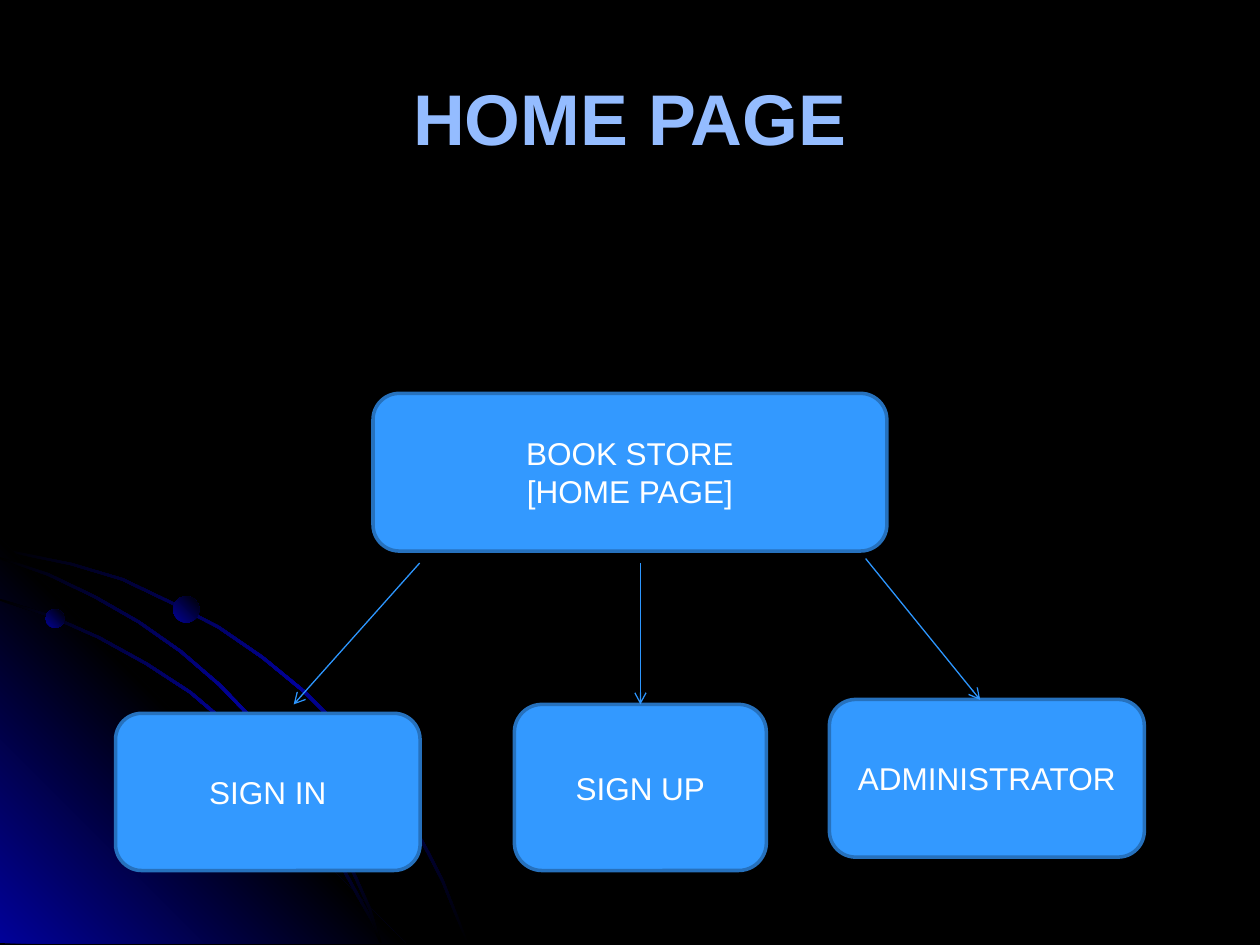
"""Build the home page flow chart slide of the book store."""
import lxml.etree
import pptx
import pptx.dml.color
import pptx.enum.shapes
import pptx.enum.text
import pptx.oxml.ns
import pptx.util

Cm = pptx.util.Cm
Pt = pptx.util.Pt
qn = pptx.oxml.ns.qn
SHAPE = pptx.enum.shapes.MSO_SHAPE

FONT = "Arial"
COLORS = {
    "background": "000000",
    "glow": "010199",
    "title": "94BCFF",
    "box": "3399FF",
    "border": "2671BD",
    "arrow": "2D96FE",
    "label": "FFFFFF",
}
BOTTOM = 19.02
BAND = 0.04
OUTER_ARC = [
    (0, 11.05), (0.71, 11.2), (1.45, 11.35), (2.49, 11.66), (3.45, 12.12),
    (4.42, 12.62), (5.31, 13.23), (6.15, 13.92), (6.91, 14.68), (7.62, 15.52),
    (8.26, 16.46), (8.61, 17.09), (8.94, 17.73), (9.19, 18.36), (9.45, BOTTOM),
]
INNER_ARC = [
    (0, 12.07), (1.04, 12.4), (2.01, 12.83), (2.97, 13.36), (3.86, 13.94),
    (4.67, 14.63), (5.46, 15.39), (6.15, 16.26), (6.76, 17.17), (7.26, 18.08),
    (7.52, 18.54), (7.7, BOTTOM),
]
MIDDLE_ARC = [
    (0, 11.23), (0.99, 11.56), (1.93, 12.01), (2.82, 12.52), (3.66, 13.11),
    (4.45, 13.79), (5.18, 14.55), (5.82, 15.32), (6.45, 16.23), (6.83, 16.94),
    (7.16, 17.6), (7.47, 18.29), (7.7, BOTTOM),
]
CORNER = [(0, 10.85), (8.18, BOTTOM), (0, BOTTOM)]
DOTS = [(0.92, 12.28, 0.38), (3.49, 12.02, 0.53)]
BOXES = [
    ((7.52, 7.93, 10.36, 3.18), ["BOOK STORE", "[HOME PAGE]"]),
    ((2.33, 14.38, 6.14, 3.17), ["SIGN IN"]),
    ((10.37, 14.2, 5.08, 3.35), ["SIGN UP"]),
    ((16.72, 14.1, 6.35, 3.18), ["ADMINISTRATOR"]),
]
ARROWS = [
    (8.46, 11.35, 5.92, 14.2),
    (12.91, 11.35, 12.91, 14.2),
    (17.45, 11.26, 19.76, 14.11),
]


def color(name):
    return pptx.dml.color.RGBColor.from_string(COLORS[name])


def lengths(values):
    return [Cm(value) for value in values]


def fill_gradient(shape, names, angle):
    shape.shadow.inherit = False
    shape.line.fill.background()
    shape.fill.gradient()
    gradient = shape._element.spPr.find(qn("a:gradFill"))
    stops = gradient.find(qn("a:gsLst"))
    for stop in list(stops):
        stops.remove(stop)
    for index, name in enumerate(names):
        position = str(100000 * index // (len(names) - 1))
        stop = lxml.etree.SubElement(stops, qn("a:gs"), pos=position)
        lxml.etree.SubElement(stop, qn("a:srgbClr"), val=COLORS[name])
    gradient.find(qn("a:lin")).set("ang", str(angle * 60000))


def add_outline(slide, points, names, angle):
    scaled = [lengths(point) for point in points]
    builder = slide.shapes.build_freeform(*scaled[0])
    builder.add_line_segments(scaled[1:], close=True)
    fill_gradient(builder.convert_to_shape(), names, angle)


def add_arc(slide, edge):
    inner = [(max(0, x - BAND), min(BOTTOM, y + BAND)) for x, y in reversed(edge)]
    add_outline(slide, edge + inner, ["background", "glow", "background"], 45)


def add_dot(slide, left, top, size):
    dot = slide.shapes.add_shape(SHAPE.OVAL, *lengths((left, top, size, size)))
    fill_gradient(dot, ["glow", "background"], 315)


def write_lines(shape, lines, size, name, bold=False):
    frame = shape.text_frame
    frame.word_wrap = True
    frame.vertical_anchor = pptx.enum.text.MSO_ANCHOR.MIDDLE
    frame.text = "\n".join(lines)
    for paragraph in frame.paragraphs:
        paragraph.alignment = pptx.enum.text.PP_ALIGN.CENTER
        paragraph.font.name = FONT
        paragraph.font.size = Pt(size)
        paragraph.font.bold = bold
        paragraph.font.color.rgb = color(name)


def add_title(slide, place, text):
    title = slide.shapes.add_textbox(*lengths(place))
    write_lines(title, [text], 41, "title", bold=True)


def add_box(slide, place, lines):
    box = slide.shapes.add_shape(SHAPE.ROUNDED_RECTANGLE, *lengths(place))
    box.shadow.inherit = False
    box.fill.solid()
    box.fill.fore_color.rgb = color("box")
    box.line.color.rgb = color("border")
    box.line.width = Pt(2)
    write_lines(box, lines, 18, "label")


def add_arrow(slide, ends):
    straight = pptx.enum.shapes.MSO_CONNECTOR.STRAIGHT
    arrow = slide.shapes.add_connector(straight, *lengths(ends))
    arrow.line.color.rgb = color("arrow")
    arrow.line.width = Pt(0.75)
    lxml.etree.SubElement(arrow.line._get_or_add_ln(), qn("a:tailEnd"), type="arrow")
    lxml.etree.SubElement(arrow._element.spPr, qn("a:effectLst"))


def add_backdrop(slide):
    slide.background.fill.solid()
    slide.background.fill.fore_color.rgb = color("background")
    add_arc(slide, OUTER_ARC)
    add_outline(slide, CORNER, ["glow", "background", "glow"], 315)
    add_arc(slide, INNER_ARC)
    add_arc(slide, MIDDLE_ARC)
    for dot in DOTS:
        add_dot(slide, *dot)


def main():
    presentation = pptx.Presentation()
    presentation.slide_width = Cm(25.4)
    presentation.slide_height = Cm(19.05)
    slide = presentation.slides.add_slide(presentation.slide_layouts[6])
    add_backdrop(slide)
    add_title(slide, (1.27, 0.76, 22.86, 3.18), "HOME PAGE")
    for place, lines in BOXES:
        add_box(slide, place, lines)
    for ends in ARROWS:
        add_arrow(slide, ends)
    presentation.save("out.pptx")


main()
